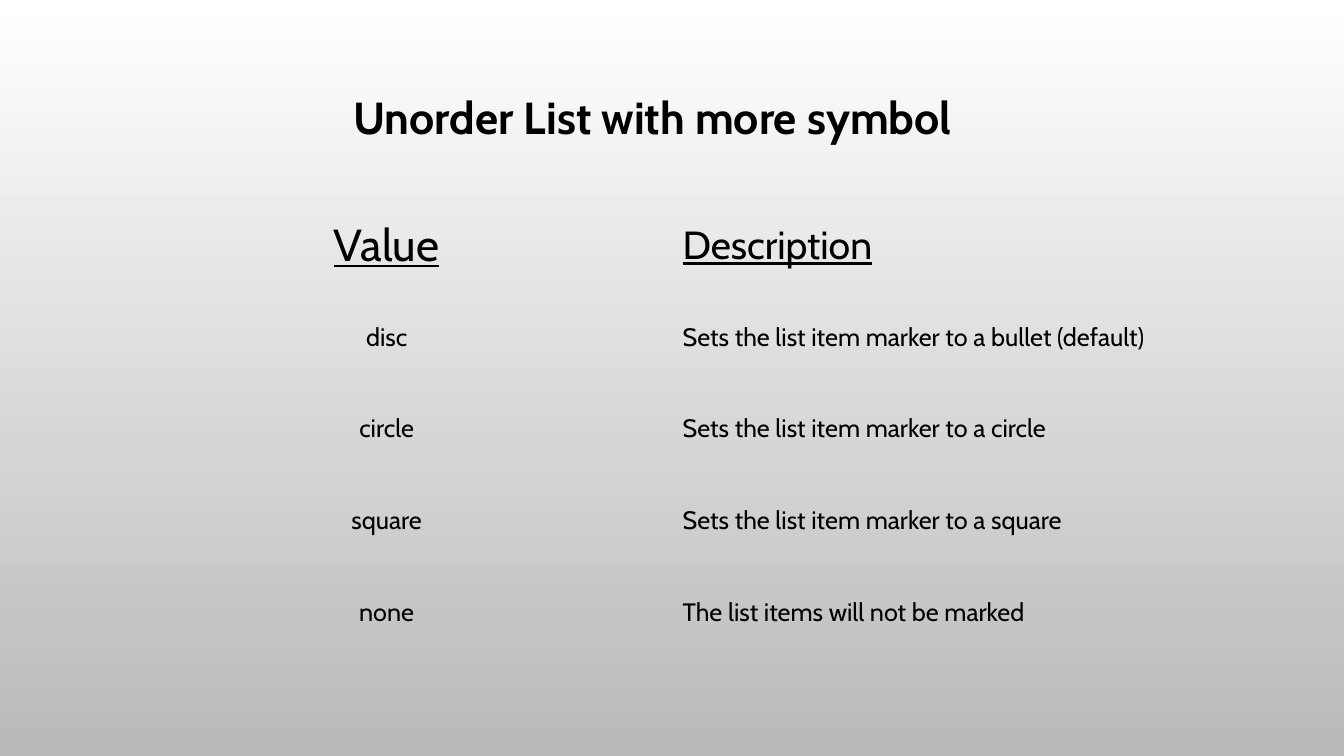
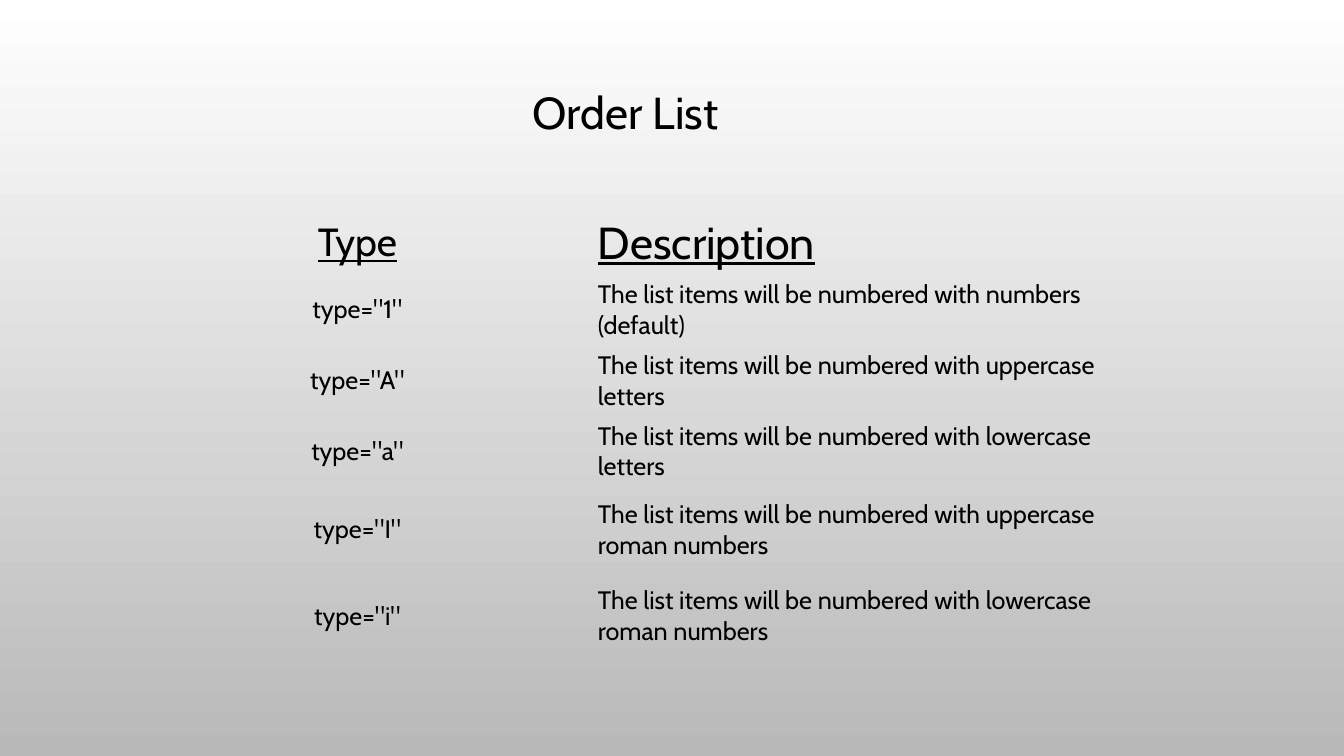
from pptx import Presentation
from pptx import util as u
from pptx.dml import color
from pptx.enum import text

PX = 9144
FONT = "Cabin"
INK = "000000"
FADE = ["FFFFFF", "B9B9B9"]
PLAIN = "{2D5ABB26-0587-4C30-8999-92F81FD0307C}"
ALIGN = text.PP_ALIGN
MIDDLE = text.MSO_ANCHOR.MIDDLE


def paint(target, code):
    target.rgb = color.RGBColor.from_string(code)


def write(frame, words, size, align, bold=False, under=False):
    line = frame.paragraphs[0]
    line.alignment = align
    run = line.add_run()
    run.text = words
    font = run.font
    font.name, font.size = FONT, u.Pt(size)
    font.bold, font.underline = bold, under
    paint(font.color, INK)


deck = Presentation()
deck.slide_width, deck.slide_height = 1333 * PX, 750 * PX

fill = deck.slide_master.background.fill
fill.gradient()
fill.gradient_angle = 270
for stop, code in zip(fill.gradient_stops, FADE):
    paint(stop.color, code)

marker = "Sets the list item marker to a "
number = "The list items will be numbered with "
pages = [
    {
        "title": "Unorder List with more symbol",
        "bold": True,
        "box": (333, 84, 629, 64),
        "spot": (100, 198),
        "cols": [567, 567],
        "rows": [91] * 5,
        "heads": [32, 28],
        "cells": [
            ("Value", "Description"),
            ("disc", marker + "bullet (default)"),
            ("circle", marker + "circle"),
            ("square", marker + "square"),
            ("none", "The list items will not be marked"),
        ],
    },
    {
        "title": "Order List",
        "bold": False,
        "box": (270, 79, 701, 64),
        "spot": (126, 209),
        "cols": [457, 567],
        "rows": [49] * 4 + [86] * 2,
        "heads": [28, 32],
        "cells": [
            ("Type", "Description"),
            ('type="1"', number + "numbers (default)"),
            ('type="A"', number + "uppercase letters"),
            ('type="a"', number + "lowercase letters"),
            ('type="I"', number + "uppercase roman numbers"),
            ('type="i"', number + "lowercase roman numbers"),
        ],
    },
]

for page in pages:
    slide = deck.slides.add_slide(deck.slide_layouts[5])
    title = slide.shapes.title
    title.left, title.top, title.width, title.height = [n * PX for n in page["box"]]
    frame = title.text_frame
    frame.word_wrap = True
    frame.auto_size = text.MSO_AUTO_SIZE.SHAPE_TO_FIT_TEXT
    frame.vertical_anchor = text.MSO_ANCHOR.TOP
    write(frame, page["title"], 32, ALIGN.CENTER, bold=page["bold"])

    cols, rows = page["cols"], page["rows"]
    left, top = page["spot"]
    table = slide.shapes.add_table(
        len(rows), len(cols), left * PX, top * PX, sum(cols) * PX, sum(rows) * PX
    ).table
    table.first_row = table.horz_banding = False
    table._tbl.tblPr[0].text = PLAIN
    for col, width in zip(table.columns, cols):
        col.width = width * PX
    for row, height in zip(table.rows, rows):
        row.height = height * PX

    for r, words in enumerate(page["cells"]):
        for c, align in enumerate([ALIGN.CENTER, ALIGN.LEFT]):
            cell = table.cell(r, c)
            cell.fill.background()
            cell.vertical_anchor = MIDDLE
            size = 18 if r else page["heads"][c]
            write(cell.text_frame, words[c], size, align, under=r == 0)

deck.save("out.pptx")
